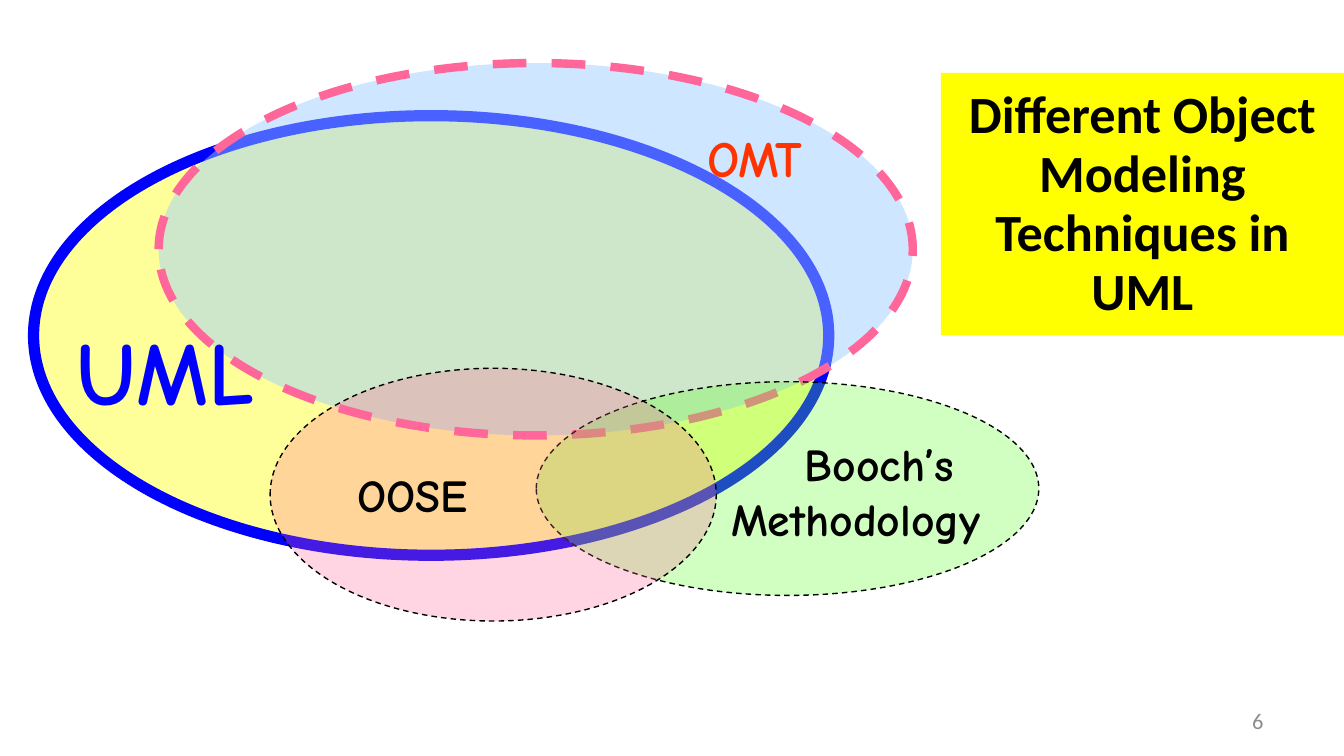
from pptx import Presentation
from pptx.dml.color import RGBColor
from pptx.enum.dml import MSO_LINE
from pptx.enum.shapes import MSO_SHAPE
from pptx.enum.text import MSO_ANCHOR, MSO_AUTO_SIZE, PP_ALIGN
from pptx.oxml.ns import qn
from pptx.util import Pt
from lxml.etree import SubElement

# Content: places are left, top, width, height in points
TITLE = "Different Object Modeling Techniques in UML"
HAND = "Comic Neue"
# place, fill, opacity in percent, line colour, line width, dashed
SETS = [
    ((18, 62, 426, 235.5), "FFFF99", 100, "0000FF", 6, False),
    ((85, 33.8, 404, 199.5), "99CCFF", 48, "FF6699", 4.5, True),
    ((287.3, 204.5, 269.2, 114.5), "66FF33", 30, "000000", 0.75, True),
    ((144.7, 197.3, 239, 135.4), "FF6699", 27, "000000", 0.75, True),
]
# place, lines with their indents, size, colour, side and top insets, wrap
LABELS = [
    ((35.3, 166.3, 116, 63.4), [("UML", 0)], 48, "0000FF", (5.8, 2.9), False),
    ((391.7, 233.3, 194.4, 59), [("Booch’s", 39.5), ("Methodology", 0)],
     24.5, "000000", (0, 0), True),
    ((185.8, 247, 82.8, 35.3), [("OOSE", 0)], 24.5, "000000", (5.8, 2.9), False),
    ((373, 64.8, 76.3, 38.2), [("OMT", 0)], 27.2, "FF3300", (5.8, 2.9), False),
]


def paint(color, code):
    color.rgb = RGBColor.from_string(code)


def place(shape, box):
    shape.left, shape.top, shape.width, shape.height = map(Pt, box)


def write(shape, lines, size, code="000000", font=HAND, bold=True, wrap=True,
          align=PP_ALIGN.LEFT, anchor=MSO_ANCHOR.TOP, inset=(7.2, 3.6)):
    frame = shape.text_frame
    frame.auto_size = MSO_AUTO_SIZE.NONE
    frame.word_wrap = wrap
    frame.vertical_anchor = anchor
    frame.margin_left = frame.margin_right = Pt(inset[0])
    frame.margin_top = frame.margin_bottom = Pt(inset[1])
    frame.text = "\n".join(text for text, _ in lines)
    for para, (_, indent) in zip(frame.paragraphs, lines):
        para.alignment = align
        if indent:
            para._p.get_or_add_pPr().set("marL", str(Pt(indent)))
        face = para.runs[0].font
        face.name, face.size, face.bold = font, Pt(size), bold
        paint(face.color, code)


def draw_set(shapes, box, fill, alpha, line, width, dashed):
    oval = shapes.add_shape(MSO_SHAPE.OVAL, *map(Pt, box))
    oval.shadow.inherit = False
    oval.fill.solid()
    paint(oval.fill.fore_color, fill)
    if alpha < 100:
        tint = oval._element.spPr.find(qn("a:solidFill"))[0]
        SubElement(tint, qn("a:alpha")).set("val", str(alpha * 1000))
    paint(oval.line.color, line)
    oval.line.width = Pt(width)
    if dashed:
        oval.line.dash_style = MSO_LINE.DASH


def main():
    deck = Presentation()
    deck.slide_width, deck.slide_height = Pt(720), Pt(405)
    slide = deck.slides.add_slide(deck.slide_layouts[5])

    # Title
    title = slide.shapes.title
    place(title, (504, 39, 216, 140.5))
    title.fill.solid()
    paint(title.fill.fore_color, "FFFF00")
    write(title, [(TITLE, 0)], 28, font="Calibri", align=PP_ALIGN.CENTER,
          anchor=MSO_ANCHOR.MIDDLE, inset=(0.7, 2.9))
    head = title.text_frame.paragraphs[0]
    head.line_spacing, head.space_before = 0.94, Pt(9.3)

    # Overlapping sets and their labels
    group = slide.shapes.add_group_shape().shapes
    for item in SETS:
        draw_set(group, *item)
    for box, lines, size, code, inset, wrap in LABELS:
        label = group.add_textbox(*map(Pt, box))
        write(label, lines, size, code, inset=inset, wrap=wrap)

    # Slide number
    number = slide.shapes.add_textbox(*map(Pt, (516, 375.4, 168, 21.6)))
    write(number, [("6", 0)], 12, "8C8C8C", font="Calibri", bold=False,
          align=PP_ALIGN.RIGHT, anchor=MSO_ANCHOR.MIDDLE)

    deck.save("out.pptx")


if __name__ == "__main__":
    main()
